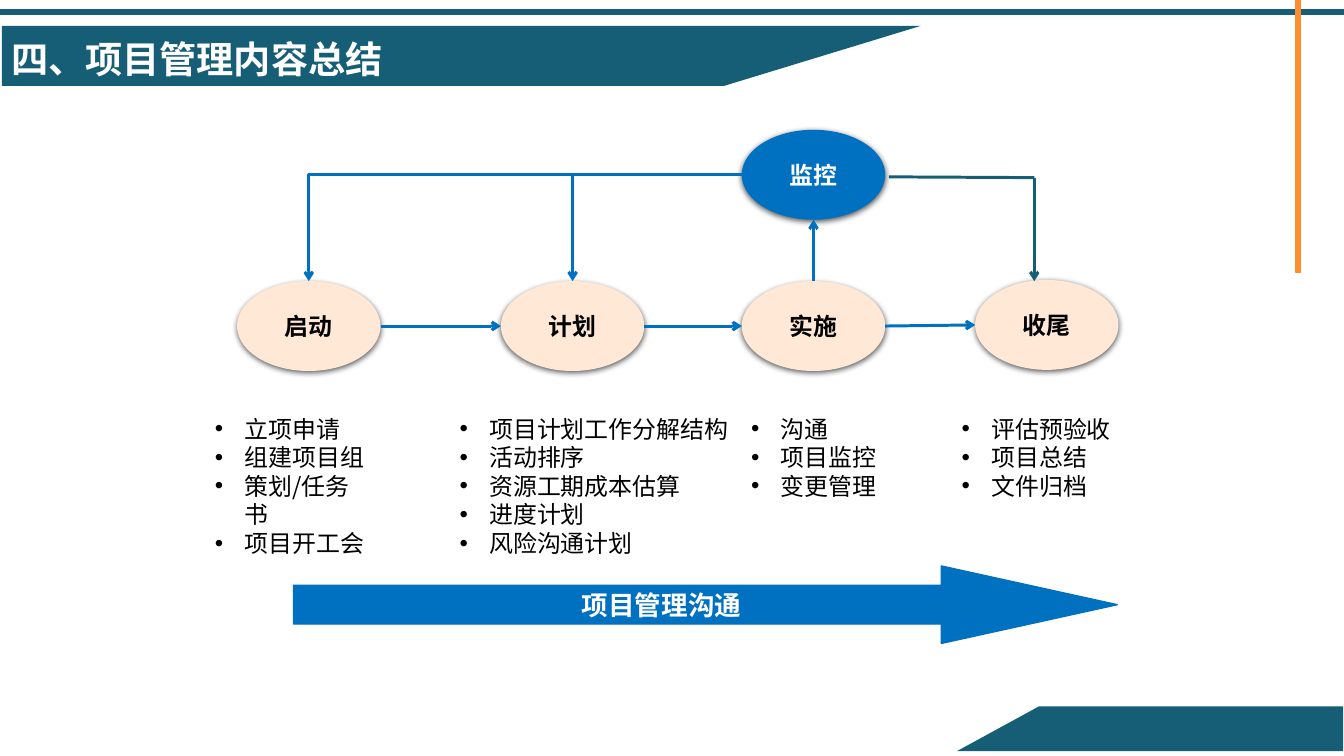
from pptx import Presentation
from pptx.dml.color import RGBColor
from pptx.enum.shapes import MSO_CONNECTOR, MSO_SHAPE
from pptx.enum.text import MSO_ANCHOR, PP_ALIGN
from pptx.oxml import parse_xml
from pptx.oxml.ns import nsdecls, qn
from pptx.oxml.xmlchemy import OxmlElement
from pptx.util import Cm, Pt

RECT, OVAL, ARROW = MSO_SHAPE.RECTANGLE, MSO_SHAPE.OVAL, MSO_SHAPE.RIGHT_ARROW
STRAIGHT, ELBOW = MSO_CONNECTOR.STRAIGHT, MSO_CONNECTOR.ELBOW
LEFT, CENTER = PP_ALIGN.LEFT, PP_ALIGN.CENTER
MIDDLE = MSO_ANCHOR.MIDDLE

FONT = "Noto Sans CJK SC"
COLORS = {"teal": "165D76", "orange": "FE8D2F", "blue": "0070C0",
          "peach": "FFE8D5", "white": "FFFFFF", "black": "000000"}

OVAL_W, OVAL_H = 3.81, 2.39
STAGE_TOP, MONITOR_TOP = 7.47, 3.45
STAGES = [("启动", 6.3, STAGE_TOP), ("计划", 13.31, STAGE_TOP),
          ("实施", 19.71, STAGE_TOP), ("收尾", 25.91, 7.44)]
TASKS = [
    (5.46, 4.65, ["立项申请", "组建项目组", "策划/任务书", "项目开工会"]),
    (11.96, 7.72, ["项目计划工作分解结构", "活动排序", "资源工期成本估算",
                   "进度计划", "风险沟通计划"]),
    (19.71, 3.89, ["沟通", "项目监控", "变更管理"]),
    (25.3, 4.52, ["评估预验收", "项目总结", "文件归档"]),
]


def rgb(name):
    return RGBColor.from_string(COLORS[name])


def write(p, text, size=18, color="black", bold=False, align=LEFT,
          spacing=None, bullet=None):
    if bullet:
        pPr = p._p.get_or_add_pPr()
        pPr.set("marL", str(Cm(0.79)))
        pPr.set("indent", str(-Cm(0.79)))
        for tag, key, value in (("a:buFont", "typeface", "Arial"),
                                ("a:buChar", "char", bullet)):
            bu = OxmlElement(tag)
            bu.set(key, value)
            pPr.append(bu)
    p.alignment = align
    if spacing:
        p.line_spacing = Pt(spacing)
    r = p.add_run()
    r.text = text
    r.font.size, r.font.bold, r.font.name = Pt(size), bold, FONT
    r.font.color.rgb = rgb(color)
    ea = OxmlElement("a:ea")
    ea.set("typeface", FONT)
    r._r.get_or_add_rPr().append(ea)


class Deck:
    def __init__(self, width, height):
        self.prs = Presentation()
        self.prs.slide_width, self.prs.slide_height = Cm(width), Cm(height)
        self.s = self.prs.slides.add_slide(self.prs.slide_layouts[6])

    def paint(self, sp, fill, line=None):
        sp.shadow.inherit = False
        sp.fill.solid()
        sp.fill.fore_color.rgb = rgb(fill)
        if line:
            sp.line.color.rgb, sp.line.width = rgb(line), Pt(1)
        else:
            sp.line.fill.background()

    def shape(self, kind, x, y, w, h, fill, line=None, text=None, **style):
        sp = self.s.shapes.add_shape(kind, Cm(x), Cm(y), Cm(w), Cm(h))
        self.paint(sp, fill, line)
        if text:
            sp.text_frame.vertical_anchor = MIDDLE
            write(sp.text_frame.paragraphs[0], text, bold=True,
                  align=CENTER, **style)
        return sp

    def oval(self, text, x, y, fill, color):
        sp = self.shape(OVAL, x, y, OVAL_W, OVAL_H, fill, text=text, color=color)
        sp.element.spPr.find(qn("a:effectLst")).append(parse_xml(
            f'<a:outerShdw {nsdecls("a")} blurRad="{Pt(4.5)}" dist="{Pt(1.5)}" '
            'dir="5400000" rotWithShape="0"><a:srgbClr val="000000">'
            '<a:alpha val="63000"/></a:srgbClr></a:outerShdw>'))

    def polygon(self, points, fill):
        pts = [(Cm(x), Cm(y)) for x, y in points]
        fb = self.s.shapes.build_freeform(*pts[0])
        fb.add_line_segments(pts[1:], close=True)
        self.paint(fb.convert_to_shape(), fill)

    def textbox(self, x, y, w, h, lines, **style):
        tf = self.s.shapes.add_textbox(Cm(x), Cm(y), Cm(w), Cm(h)).text_frame
        tf.word_wrap = True
        for i, text in enumerate(lines):
            p = tf.add_paragraph() if i else tf.paragraphs[0]
            write(p, text, **style)

    def line(self, x1, y1, x2, y2, color="blue", kind=STRAIGHT, head=True):
        c = self.s.shapes.add_connector(kind, Cm(x1), Cm(y1), Cm(x2), Cm(y2))
        c.line.color.rgb, c.line.width = rgb(color), Pt(2.25)
        spPr = c.element.spPr
        if kind == ELBOW:
            spPr.find(qn("a:prstGeom")).set("prst", "bentConnector2")
        if head:
            tail = OxmlElement("a:tailEnd")
            tail.set("type", "arrow")
            spPr.find(qn("a:ln")).append(tail)
        spPr.append(OxmlElement("a:effectLst"))


def main():
    d = Deck(35.71, 20.09)
    d.shape(RECT, 0, 0.25, 35.71, 0.13, "teal", "teal")
    for y, h in ((0, 2.16), (1.64, 5.59)):
        d.shape(RECT, 34.43, y, 0.13, h, "orange", "orange")
    d.polygon([(0.05, 0.69), (24.46, 0.69), (19.25, 2.28), (0.05, 2.28)], "teal")
    d.polygon([(35.69, 18.77), (27.61, 18.77), (25.43, 19.96), (35.69, 19.96)],
              "teal")
    d.textbox(0.05, 0.84, 12.45, 1.47, ["四、项目管理内容总结"],
              size=28, color="white", bold=True, spacing=33.6)

    monitor_x, monitor_y = STAGES[2][1], MONITOR_TOP + OVAL_H / 2
    d.oval("监控", monitor_x, MONITOR_TOP, "blue", "white")
    for name, x, y in STAGES:
        d.oval(name, x, y, "peach", "black")
    for _, x, y in STAGES[:2]:
        d.line(monitor_x, monitor_y, x + OVAL_W / 2, y, kind=ELBOW)
    for (_, x1, y1), (_, x2, y2) in zip(STAGES, STAGES[1:]):
        d.line(x1 + OVAL_W, y1 + OVAL_H / 2, x2, y2 + OVAL_H / 2)
    monitor_mid = monitor_x + OVAL_W / 2
    d.line(monitor_mid, STAGE_TOP, monitor_mid, MONITOR_TOP + OVAL_H)

    for x, w, tasks in TASKS:
        d.textbox(x, 10.89, w, 0.25 + 0.76 * len(tasks), tasks,
                  spacing=21.5, bullet="•")

    sp = d.shape(ARROW, 7.8, 15.04, 21.89, 2.06, "blue", "blue",
                 "项目管理沟通", size=20, color="white")
    sp.adjustments[1] = 2.27
    d.line(23.62, 4.7, 27.48, 4.72, "teal", head=False)
    d.line(27.48, 4.72, 27.48, STAGE_TOP, "teal")
    d.prs.save("out.pptx")


if __name__ == "__main__":
    main()
